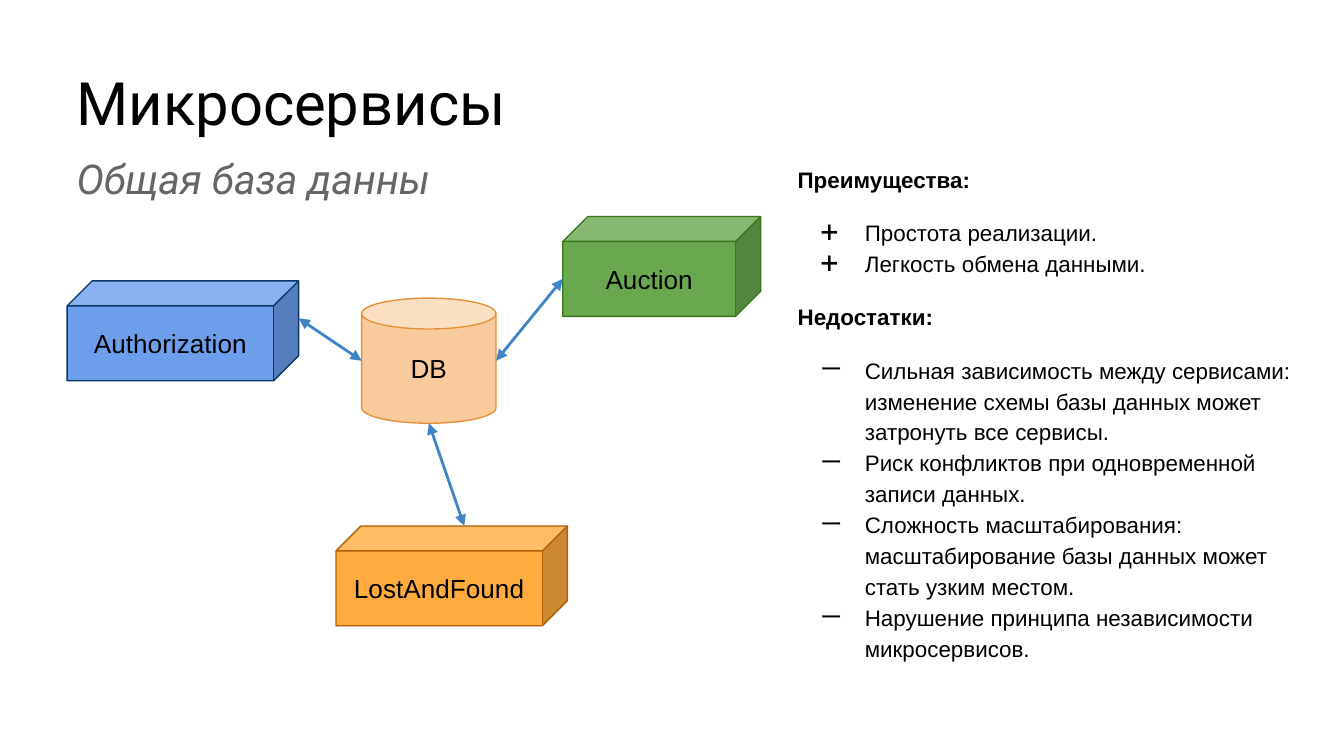
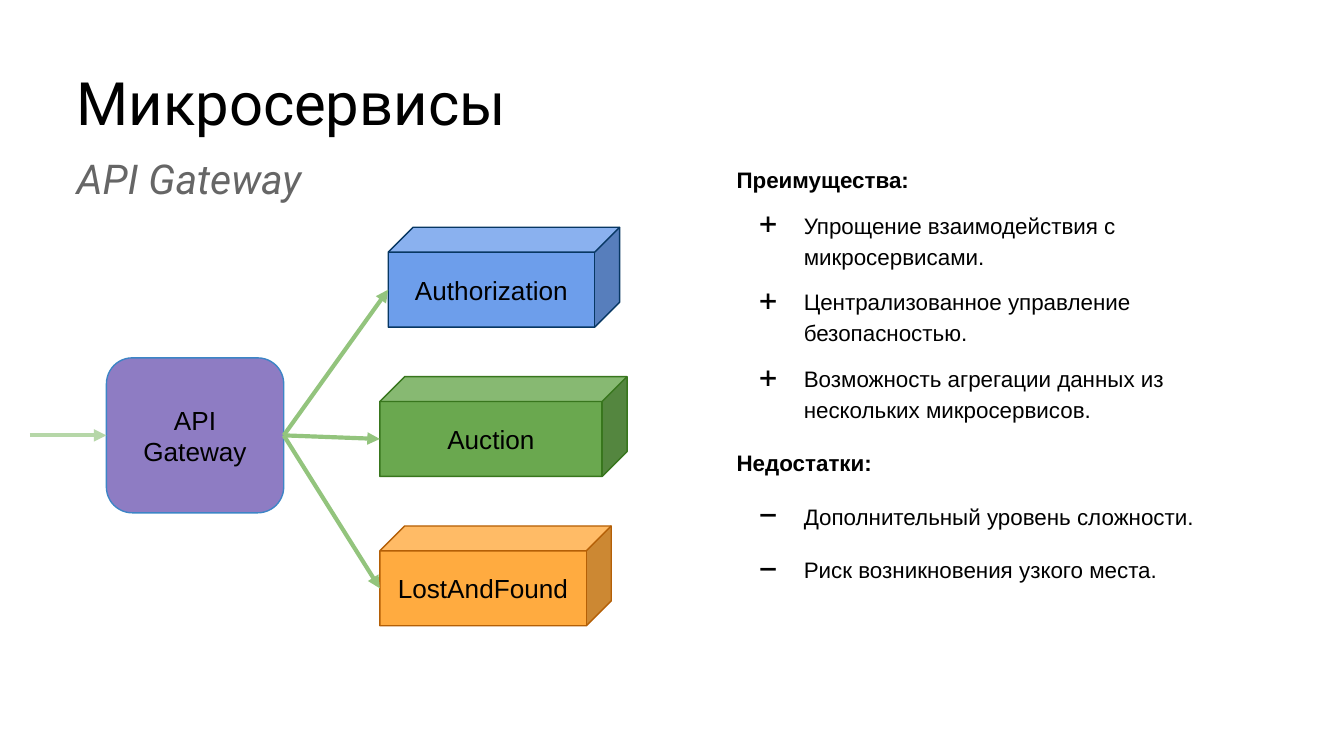
from pptx import Presentation
from pptx.dml.color import RGBColor
from pptx.enum.shapes import MSO_CONNECTOR, MSO_SHAPE
from pptx.enum.text import MSO_ANCHOR, PP_ALIGN
from pptx.oxml.ns import qn
from pptx.util import Pt
from lxml.etree import SubElement

COLORS = {
    "white": "FFFFFF", "black": "000000", "subtitle": "666666",
    "blue": "6D9EEB", "navy": "073763", "orange": "FFAB40", "brown": "B45F06",
    "green": "6AA84F", "forest": "38761D", "peach": "F9CB9C", "amber": "E69138",
    "purple": "8E7CC3", "link": "3D85C6", "request": "B6D7A8", "route": "93C47D",
}
BODY_FONT, TITLE_FONT = "Arial", "Roboto"
SERVICE_COLORS = {
    "Authorization": ("blue", "navy"),
    "LostAndFound": ("orange", "brown"),
    "Auction": ("green", "forest"),
}
SERVICE_HEIGHT = 53.5
CUBE_DEPTH = SERVICE_HEIGHT * 0.25


def rgb(name):
    return RGBColor.from_string(COLORS[name])


def add_run(paragraph, text, size, font=BODY_FONT, color="black", bold=False, italic=False):
    run = paragraph.add_run()
    run.text = text
    run.font.size, run.font.name = Pt(size), font
    run.font.bold, run.font.italic = bold, italic
    run.font.color.rgb = rgb(color)


def set_frame(shape, anchor=MSO_ANCHOR.TOP):
    frame = shape.text_frame
    frame.word_wrap = True
    frame.vertical_anchor = anchor
    frame.margin_left = frame.margin_right = Pt(7.2)
    frame.margin_top = frame.margin_bottom = Pt(7.2)
    return frame


def add_textbox(slide, box):
    return slide.shapes.add_textbox(*map(Pt, box))


def add_node(slide, kind, box, fill, outline, lines, adjustment):
    """Diagram node with centred label lines."""
    node = slide.shapes.add_shape(kind, *map(Pt, box))
    node.shadow.inherit = False
    node.adjustments[0] = adjustment
    node.fill.solid()
    node.fill.fore_color.rgb = rgb(fill)
    node.line.color.rgb = rgb(outline)
    node.line.width = Pt(0.75)
    frame = set_frame(node, MSO_ANCHOR.MIDDLE)
    for index, label in enumerate(lines):
        paragraph = frame.add_paragraph() if index else frame.paragraphs[0]
        paragraph.alignment = PP_ALIGN.CENTER
        add_run(paragraph, label, 14)
    return node


def add_service(slide, name, left, top, width=124):
    """Service cube; returns the points where arrows meet its faces."""
    fill, outline = SERVICE_COLORS[name]
    add_node(slide, MSO_SHAPE.CUBE, (left, top, width, SERVICE_HEIGHT),
             fill, outline, [name], 0.25)
    return {
        "left": (left, top + (SERVICE_HEIGHT + CUBE_DEPTH) / 2),
        "right": (left + width, top + (SERVICE_HEIGHT - CUBE_DEPTH) / 2),
        "top": (left + (width + CUBE_DEPTH) / 2, top),
    }


def add_arrow(slide, start, end, color, width, both_ways=False):
    arrow = slide.shapes.add_connector(MSO_CONNECTOR.STRAIGHT, *map(Pt, (*start, *end)))
    arrow.line.color.rgb = rgb(color)
    arrow.line.width = Pt(width)
    line_xml = arrow.line._get_or_add_ln()
    for tag in ("a:headEnd", "a:tailEnd") if both_ways else ("a:tailEnd",):
        SubElement(line_xml, qn(tag), type="triangle")
    SubElement(arrow._element.spPr, qn("a:effectLst"))
    return arrow


def add_heading(slide, subtitle, box=(34, 28.25, 560, 94)):
    left, top, width, height = box
    title_frame = set_frame(add_textbox(slide, (left, top, width, 53)))
    add_run(title_frame.paragraphs[0], "Микросервисы", 32, TITLE_FONT)
    subtitle_frame = set_frame(add_textbox(slide, (left, top + 46.75, width, height - 53)))
    add_run(subtitle_frame.paragraphs[0], subtitle, 22, TITLE_FONT, "subtitle", italic=True)


def add_bullet(paragraph, mark):
    properties = paragraph._p.get_or_add_pPr()
    properties.set("marL", str(Pt(36)))
    properties.set("indent", str(-Pt(23.75)))
    bullet_color = SubElement(properties, qn("a:buClr"))
    SubElement(bullet_color, qn("a:srgbClr"), val=COLORS["black"])
    # Without a named font the marks fall back to a symbol font that lacks them
    SubElement(properties, qn("a:buFont"), typeface=BODY_FONT)
    SubElement(properties, qn("a:buChar"), char=mark)


def fill_pros_and_cons(panel, sections):
    """Each section is (heading, bullet mark, [(space before, text), ...])."""
    frame = set_frame(panel)
    for index, (heading, mark, points) in enumerate(sections):
        paragraph = frame.add_paragraph() if index else frame.paragraphs[0]
        paragraph.alignment = PP_ALIGN.LEFT
        if index:
            paragraph.line_spacing, paragraph.space_before = 1.15, Pt(12)
        add_run(paragraph, heading, 12, bold=True)
        for gap, text in points:
            paragraph = frame.add_paragraph()
            paragraph.alignment = PP_ALIGN.LEFT
            paragraph.line_spacing, paragraph.space_before = 1.15, Pt(gap)
            add_bullet(paragraph, mark)
            add_run(paragraph, text, 12)


def add_database_diagram(slide, box):
    left, top = box
    authorization = add_service(slide, "Authorization", left, top + 34.5)
    lost_and_found = add_service(slide, "LostAndFound", left + 144, top + 165.75)
    auction = add_service(slide, "Auction", left + 265.5, top, 106)

    # Shared database
    db_left, db_top, db_width, db_height = left + 157.75, top + 43.75, 72, 67
    add_node(slide, MSO_SHAPE.CAN, (db_left, db_top, db_width, db_height),
             "peach", "amber", ["DB"], 0.247)
    db_middle = db_top + db_height / 2
    for service, database in (
        (authorization["right"], (db_left, db_middle)),
        (auction["left"], (db_left + db_width, db_middle)),
        (lost_and_found["top"], (db_left + db_width / 2, db_top + db_height)),
    ):
        add_arrow(slide, service, database, "link", 1.5, both_ways=True)


def add_gateway_diagram(slide, box):
    left, top = box
    services = [
        add_service(slide, name, left + offset, top + row * 80, width)
        for row, (name, offset, width) in enumerate((
            ("Authorization", 192, 124), ("Auction", 187.5, 132.5), ("LostAndFound", 187.5, 124)))
    ]

    # Gateway with its incoming request and outgoing routes
    gateway_box = (left + 41, top + 70, 95, 83)
    gateway = add_node(slide, MSO_SHAPE.ROUNDED_RECTANGLE, gateway_box,
                       "purple", "link", ["API", "Gateway"], 0.167)
    middle = top + 70 + 83 / 2
    request = add_arrow(slide, (left, middle), (left + 41, middle), "request", 2.25)
    request.end_connect(gateway, 1)
    for service in services:
        route = add_arrow(slide, (left + 136, middle), service["left"], "route", 2.25)
        route.begin_connect(gateway, 3)


def build_database_slide(slide):
    add_heading(slide, "Общая база данны")
    add_database_diagram(slide, (36, 116))
    panel = slide.shapes.add_shape(MSO_SHAPE.RECTANGLE, *map(Pt, (420.25, 81.75, 286, 281)))
    panel.shadow.inherit = False
    panel.fill.solid()
    panel.fill.fore_color.rgb = rgb("white")
    panel.line.fill.background()
    fill_pros_and_cons(panel, [
        ("Преимущества:", "➕", [
            (12, "Простота реализации."),
            (0, "Легкость обмена данными."),
        ]),
        ("Недостатки:", "ー", [
            (12, "Сильная зависимость между сервисами: изменение схемы базы данных "
                 "может затронуть все сервисы."),
            (0, "Риск конфликтов при одновременной записи данных."),
            (0, "Сложность масштабирования: масштабирование базы данных может "
                "стать узким местом."),
            (0, "Нарушение принципа независимости микросервисов."),
        ]),
    ])


def build_gateway_slide(slide):
    add_heading(slide, "API Gateway")
    add_gateway_diagram(slide, (16, 121.75))
    fill_pros_and_cons(add_textbox(slide, (387.5, 81.75, 301, 238)), [
        ("Преимущества:", "➕", [
            (8, "Упрощение взаимодействия с микросервисами."),
            (8, "Централизованное управление безопасностью."),
            (8, "Возможность агрегации данных из нескольких микросервисов."),
        ]),
        ("Недостатки:", "➖", [
            (12, "Дополнительный уровень сложности."),
            (12, "Риск возникновения узкого места."),
        ]),
    ])


def main():
    deck = Presentation()
    deck.slide_width, deck.slide_height = Pt(720), Pt(405)
    for build in (build_database_slide, build_gateway_slide):
        build(deck.slides.add_slide(deck.slide_layouts[6]))
    deck.save("out.pptx")


if __name__ == "__main__":
    main()
